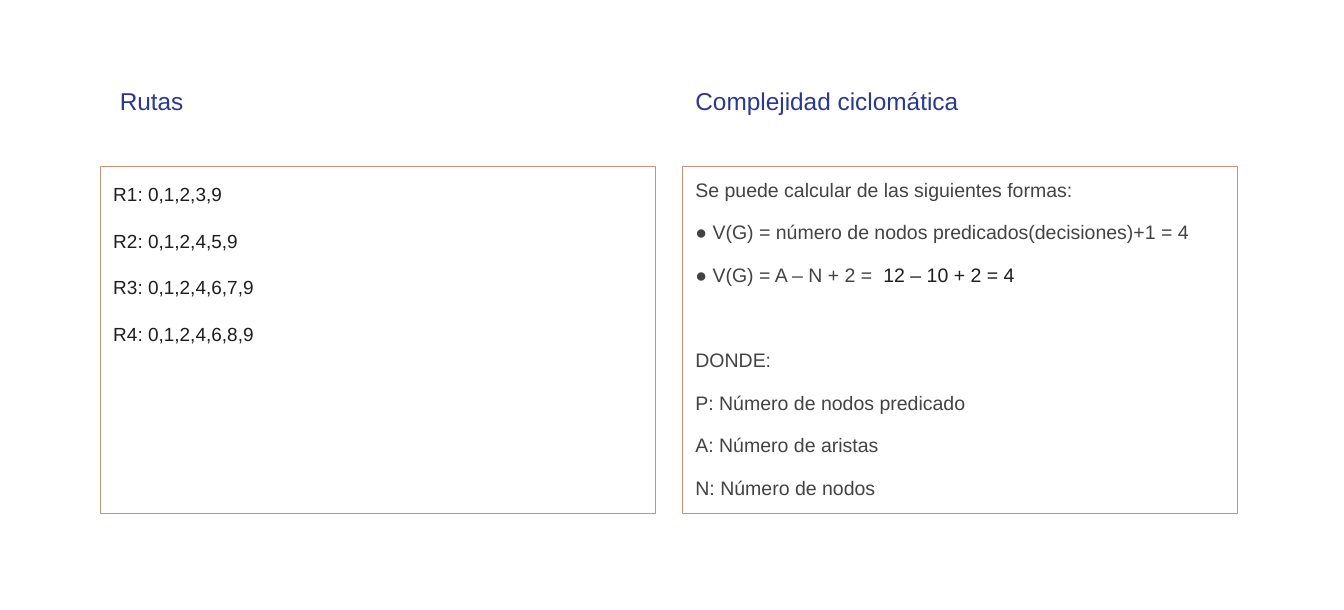
"""Build a slide listing the paths of a flow graph and its cyclomatic complexity."""
from dataclasses import dataclass

from pptx import Presentation
from pptx.dml.color import RGBColor
from pptx.enum.text import MSO_ANCHOR
from pptx.util import Cm, Pt

TOP = MSO_ANCHOR.TOP
COLORS = {"heading": "2A3990", "border": "CE9178", "code": "1E1E1E", "body": "434343"}
FONT = "Arial"
INSET = Cm(0.33)
PARAGRAPH_GAP = 15
SECTION_GAP = 46.5
HEADING_TOP, HEADING_WIDTH, HEADING_HEIGHT = 1.91, 14.71, 1.65
PANEL_TOP, PANEL_WIDTH, PANEL_HEIGHT = 4.34, 14.45, 9.04


@dataclass(frozen=True)
class Span:
    text: str
    color: str


@dataclass(frozen=True)
class Line:
    spans: tuple[Span, ...]
    gap: float = PARAGRAPH_GAP


@dataclass(frozen=True)
class TextBlock:
    left: float
    top: float
    width: float
    height: float
    size: float
    spacing: float
    lines: tuple[Line, ...]
    border: str | None = None


def plain_lines(color: str, *texts: str) -> tuple[Line, ...]:
    return tuple(Line((Span(text, color),)) for text in texts)


def heading(left: float, text: str) -> TextBlock:
    return TextBlock(left, HEADING_TOP, HEADING_WIDTH, HEADING_HEIGHT, 18, 1.0,
                     plain_lines("heading", text))


def panel(left: float, size: float, spacing: float, lines: tuple[Line, ...]) -> TextBlock:
    return TextBlock(left, PANEL_TOP, PANEL_WIDTH, PANEL_HEIGHT, size, spacing,
                     lines, "border")


ROUTES = plain_lines(
    "code", "R1: 0,1,2,3,9", "R2: 0,1,2,4,5,9", "R3: 0,1,2,4,6,7,9", "R4: 0,1,2,4,6,8,9")
COMPLEXITY = (
    *plain_lines("body", "Se puede calcular de las siguientes formas:",
                 "● V(G) = número de nodos predicados(decisiones)+1 = 4"),
    Line((Span("● V(G) = A – N + 2 =  ", "body"), Span("12 – 10 + 2 = 4", "code"))),
    Line((Span("DONDE:", "body"),), SECTION_GAP),
    *plain_lines("body", "P: Número de nodos predicado", "A: Número de aristas",
                 "N: Número de nodos"),
)
BLOCKS = (
    heading(2.79, "Rutas"),
    panel(2.62, 14, 1.15, ROUTES),
    panel(17.78, 14.4, 0.95, COMPLEXITY),
    heading(17.78, "Complejidad ciclomática"),
)


def apply_format(target: object, values: dict[str, object]) -> None:
    for name, value in values.items():
        setattr(target, name, value)


def draw_block(page, block: TextBlock) -> None:
    box = page.shapes.add_textbox(
        Cm(block.left), Cm(block.top), Cm(block.width), Cm(block.height))
    if block.border:
        box.line.color.rgb = RGBColor.from_string(COLORS[block.border])
        box.line.width = Pt(0.75)
    frame = box.text_frame
    apply_format(frame, {
        "word_wrap": True, "vertical_anchor": TOP,
        "margin_left": INSET, "margin_right": INSET,
        "margin_top": INSET, "margin_bottom": INSET,
    })
    for index, line in enumerate(block.lines):
        para = frame.add_paragraph() if index else frame.paragraphs[0]
        apply_format(para, {
            "line_spacing": block.spacing,
            "space_before": Pt(line.gap if index else 0),
        })
        for part in line.spans:
            span = para.add_run()
            span.text = part.text
            apply_format(span.font, {"name": FONT, "size": Pt(block.size)})
            span.font.color.rgb = RGBColor.from_string(COLORS[part.color])


def main() -> None:
    deck = Presentation()
    apply_format(deck, {"slide_width": Cm(35), "slide_height": Cm(15.88)})
    page = deck.slides.add_slide(deck.slide_layouts[6])
    for block in BLOCKS:
        draw_block(page, block)
    deck.save("out.pptx")


if __name__ == "__main__":
    main()
